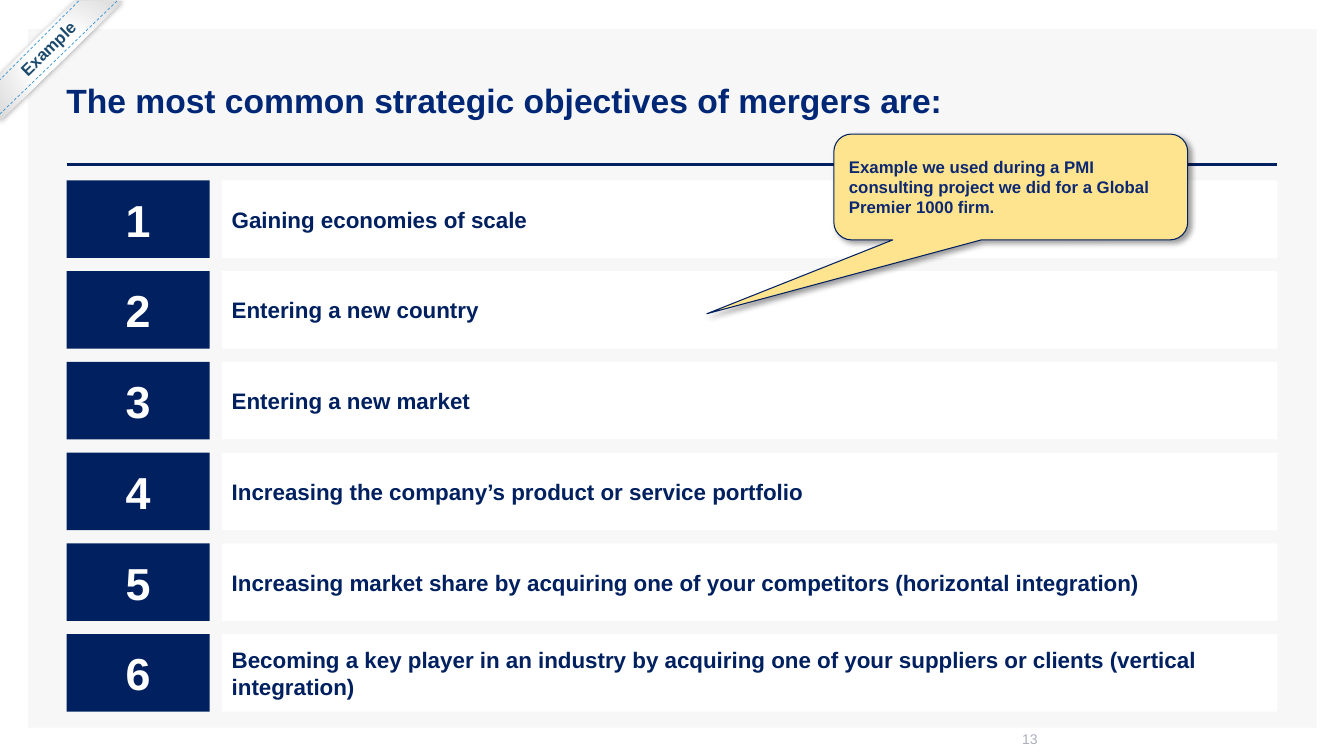
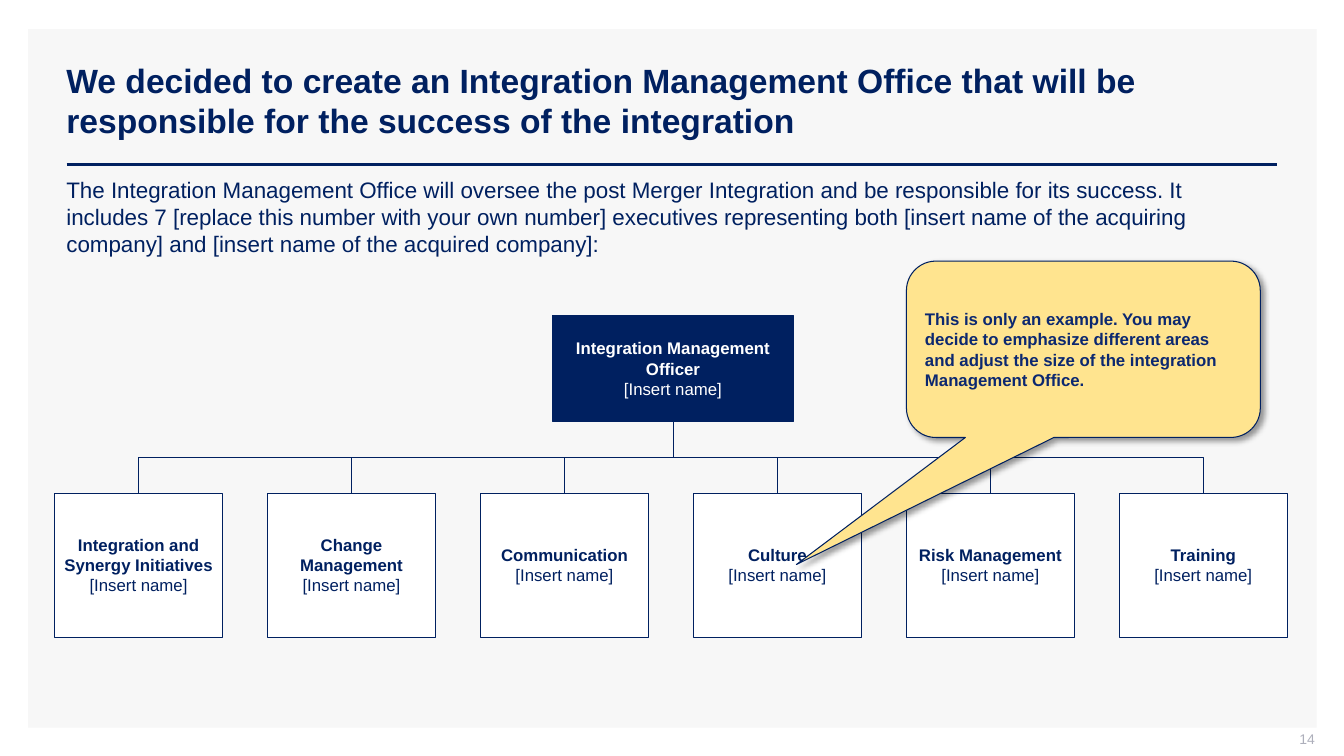
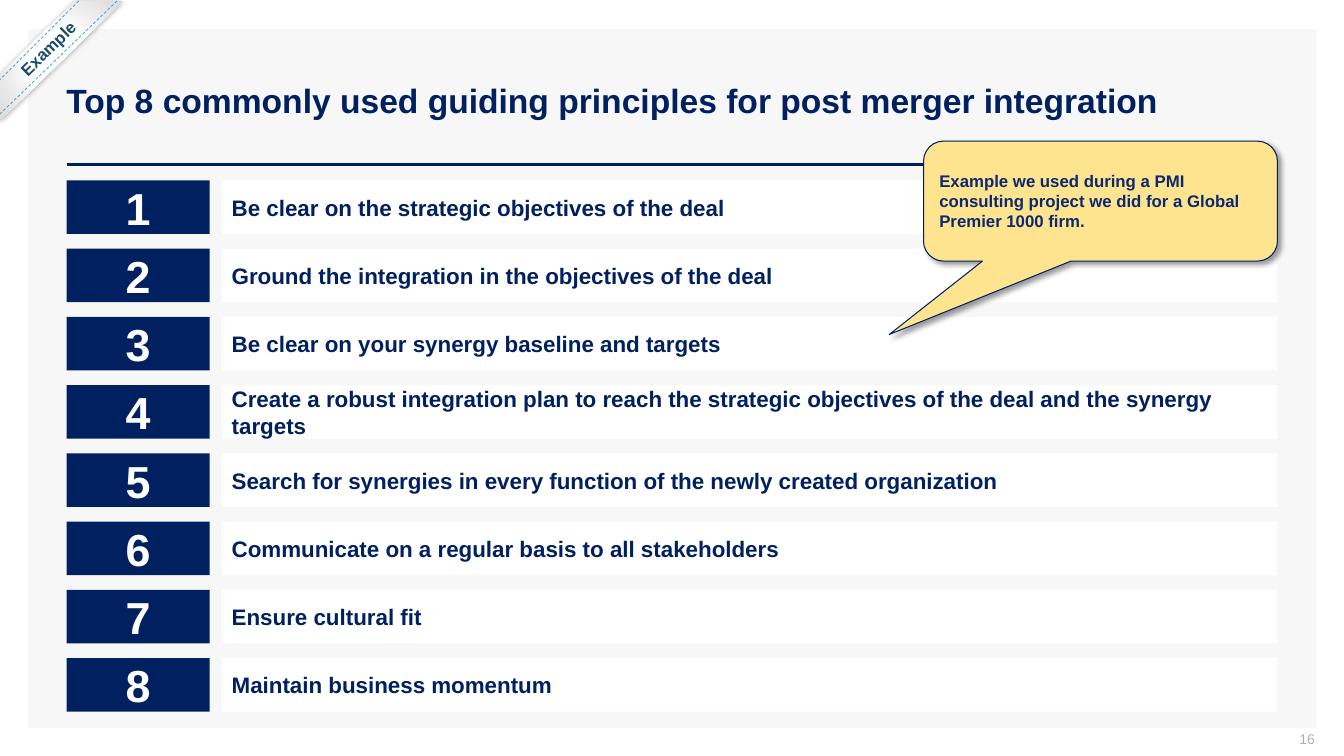
from lxml.etree import SubElement
from pptx import Presentation
from pptx.dml.color import RGBColor
from pptx.enum.dml import MSO_LINE
from pptx.enum.shapes import MSO_CONNECTOR, MSO_SHAPE
from pptx.enum.text import MSO_ANCHOR, PP_ALIGN
from pptx.oxml.ns import qn
from pptx.util import Inches, Pt

COLORS = {
    "navy": "002060", "title_blue": "002776", "note_text": "0C2870",
    "note_fill": "FFE48F", "panel": "F7F7F7", "white": "FFFFFF",
    "page_no": "ADAFBB", "ribbon_text": "1D4B6D", "ribbon_edge": "D9D9D9",
    "stitch": "3692D4", "black": "000000",
}
FONT = "Arial"
INSETS = (0.1, 0.05, 0.1, 0.05)
LEFT, CENTER, RIGHT = PP_ALIGN.LEFT, PP_ALIGN.CENTER, PP_ALIGN.RIGHT


def rgb(name):
    return RGBColor.from_string(COLORS[name])


class Deck:
    """Shared style, plus the slide being built."""

    def __init__(self):
        self.prs = Presentation()
        self.prs.slide_width, self.prs.slide_height = Inches(13.33), Inches(7.5)
        self.shapes = None

    # Basic elements
    def fill_text(self, sp, paragraphs, color, size, align=LEFT, bold=False,
                  insets=INSETS, anchor=MSO_ANCHOR.MIDDLE, wrap=True):
        """Each paragraph is a string or a (string, bold) pair."""
        tf = sp.text_frame
        tf.word_wrap, tf.vertical_anchor = wrap, anchor
        (tf.margin_left, tf.margin_top,
         tf.margin_right, tf.margin_bottom) = map(Inches, insets)
        for i, item in enumerate(paragraphs):
            text, strong = item if isinstance(item, tuple) else (item, bold)
            p = tf.add_paragraph() if i else tf.paragraphs[0]
            p.alignment = align
            r = p.add_run()
            r.text = text
            r.font.name, r.font.size, r.font.bold = FONT, Pt(size), strong
            r.font.color.rgb = rgb(color)

    def text(self, box, paragraphs, color, size, **style):
        sp = self.shapes.add_textbox(*map(Inches, box))
        self.fill_text(sp, paragraphs, color, size, **style)
        return sp

    def shape(self, box, fill, kind=MSO_SHAPE.RECTANGLE, line=None, width=0.5):
        sp = self.shapes.add_shape(kind, *map(Inches, box))
        sp.shadow.inherit = False
        sp.fill.solid()
        sp.fill.fore_color.rgb = rgb(fill)
        if line:
            sp.line.color.rgb, sp.line.width = rgb(line), Pt(width)
        else:
            sp.line.fill.background()
        return sp

    def line(self, start, end, color, width, kind=MSO_CONNECTOR.STRAIGHT):
        sp = self.shapes.add_connector(kind, *map(Inches, start + end))
        sp.line.color.rgb, sp.line.width = rgb(color), Pt(width)
        SubElement(sp._element.spPr, qn("a:effectLst"))
        return sp

    def shadow(self, sp, alpha, blur, dist, angle):
        effects = sp._element.spPr.find(qn("a:effectLst"))
        shade = SubElement(effects, qn("a:outerShdw"), blurRad=str(Pt(blur)),
                           dist=str(Pt(dist)), dir=str(angle * 60000),
                           algn="ctr", rotWithShape="0")
        clr = SubElement(shade, qn("a:srgbClr"), val=COLORS["black"])
        SubElement(clr, qn("a:alpha"), val=str(alpha * 1000))

    # Slide frame
    def slide(self, title, number, title_color="navy", number_align=RIGHT):
        s = self.prs.slides.add_slide(self.prs.slide_layouts[6])
        self.shapes = s.shapes
        self.shape((0.28, 0.29, 12.78, 6.93), "panel")
        self.line((0.66, 1.63), (12.67, 1.63), "navy", 2)
        self.text((0.56, 0.4, 12.11, 1.19), [title], title_color, 24, bold=True)
        self.text((10.04, 7.25, 3, 0.21), [str(number)], "page_no", 10,
                  align=number_align, insets=(0.1, 0, 0, 0.05))

    # Composed elements
    def numbered_rows(self, items, height, top=1.79, bottom=7.06):
        pitch = (bottom - height - top) / (len(items) - 1)
        for i, item in enumerate(items):
            y = top + i * pitch
            badge = self.shape((0.66, y, 1.42, height), "navy")
            self.fill_text(badge, [str(i + 1)], "white", 32, CENTER, bold=True)
            bar = self.shape((2.2, y, 10.47, height), "white")
            self.fill_text(bar, [item], "navy", 16, bold=True)

    def callout(self, box, tip, message):
        sp = self.shape(box, "note_fill", MSO_SHAPE.ROUNDED_RECTANGULAR_CALLOUT,
                        "navy", 0.75)
        for i, value in enumerate((*tip, 0.167)):
            sp.adjustments[i] = value
        self.shadow(sp, 40, 4, 3, 45)
        self.fill_text(sp, [message], "note_text", 12, bold=True)

    def role(self, box, name, fill, color, side):
        sp = self.shape(box, fill, line="navy")
        self.fill_text(sp, [(name, True), ("[Insert name]", False)], color, 12,
                       CENTER, insets=(side, 0.02, side, 0.02))
        return sp

    def branch(self, parent, child):
        """Elbow from the parent's bottom to the child's top, vertical first."""
        x1, y1 = parent.left + parent.width // 2, parent.top + parent.height
        x2, y2 = child.left + child.width // 2, child.top
        sp = self.line((0, 0), (1, 1), "navy", 0.5, MSO_CONNECTOR.ELBOW)
        sp.begin_connect(parent, 2)
        sp.end_connect(child, 0)
        # The elbow runs sideways by default, so it is turned a quarter
        run, drop = abs(x2 - x1), y2 - y1
        sp.left, sp.top = (x1 + x2 - drop) // 2, (y1 + y2 - run) // 2
        sp.width, sp.height = drop, run
        xfrm = sp._element.spPr.find(qn("a:xfrm"))
        rightward = x2 > x1
        xfrm.set("rot", "16200000" if rightward else "5400000")
        xfrm.set("flipH", "1" if rightward else "0")
        xfrm.set("flipV", "0")

    def ribbon(self):
        page = self.shapes
        self.shapes = page.add_group_shape().shapes
        band = self.shape((0, 0.01, 1.22, 1.19), "white", MSO_SHAPE.DIAGONAL_STRIPE)
        band.adjustments[0] = 0.611
        band.fill.gradient()
        stops = band.fill.gradient_stops
        for stop, place, color in zip(stops, (0.34, 1), ("white", "ribbon_edge")):
            stop.position, stop.color.rgb = place, rgb(color)
        grad = band._element.spPr.find(qn("a:gradFill"))
        grad.remove(grad.find(qn("a:lin")))
        radial = SubElement(grad, qn("a:path"))
        radial.set("path", "circle")
        SubElement(radial, qn("a:fillToRect"),
                   {side: "50000" for side in "ltrb"})
        self.shadow(band, 35, 4, 1, 90)
        label = self.text((0.03, 0.33, 0.89, 0.3), ["Example"], "ribbon_text", 12,
                          align=CENTER, bold=True, wrap=False)
        label.rotation = 315.8
        for x, y in ((0.78, 0.79), (1.16, 1.13)):
            stitch = self.line((x, 0.01), (0, y), "stitch", 0.5)
            stitch.line.dash_style = MSO_LINE.DASH
        self.shapes = page


PROJECT_NOTE = ("Example we used during a PMI consulting project we did "
                "for a Global Premier 1000 firm.")


def objectives(deck):
    deck.slide("The most common strategic objectives of mergers are:", 13,
               title_color="title_blue", number_align=LEFT)
    deck.numbered_rows([
        "Gaining economies of scale",
        "Entering a new country",
        "Entering a new market",
        "Increasing the company’s product or service portfolio",
        "Increasing market share by acquiring one of your competitors "
        "(horizontal integration)",
        "Becoming a key player in an industry by acquiring one of your "
        "suppliers or clients (vertical integration)",
    ], height=0.77)
    deck.callout((8.27, 1.33, 3.51, 1.05), (-0.859, 1.198), PROJECT_NOTE)
    deck.ribbon()


def management_office(deck):
    deck.slide("We decided to create an Integration Management Office that will be "
               "responsible for the success of the integration", 14)
    deck.text((0.56, 1.7, 12.11, 0.91), [
        "The Integration Management Office will oversee the post Merger Integration "
        "and be responsible for its success. It includes 7 [replace this number with "
        "your own number] executives representing both [insert name of the acquiring "
        "company] and [insert name of the acquired company]:"],
        "navy", 16, anchor=MSO_ANCHOR.TOP)
    # Organisation chart
    officer = deck.role((5.48, 3.13, 2.39, 1.05), "Integration Management Officer",
                        "navy", "white", 0.02)
    areas = ["Integration and Synergy Initiatives", "Change Management",
             "Communication", "Culture", "Risk Management", "Training"]
    first, last = 0.54, 11.1
    pitch = (last - first) / (len(areas) - 1)
    for i, area in enumerate(areas):
        box = deck.role((first + i * pitch, 4.89, 1.67, 1.43), area,
                        "white", "navy", 0.06)
        deck.branch(officer, box)
    deck.callout((8.99, 2.59, 3.51, 1.75), (-0.811, 1.22),
                 "This is only an example. You may decide to emphasize different "
                 "areas and adjust the size of the integration Management Office.")


def principles(deck):
    deck.slide("Top 8 commonly used guiding principles for post merger integration", 16)
    deck.numbered_rows([
        "Be clear on the strategic objectives of the deal",
        "Ground the integration in the objectives of the deal",
        "Be clear on your synergy baseline and targets",
        "Create a robust integration plan to reach the strategic objectives "
        "of the deal and the synergy targets",
        "Search for synergies in every function of the newly created organization",
        "Communicate on a regular basis to all stakeholders",
        "Ensure cultural fit",
        "Maintain business momentum",
    ], height=0.53)
    deck.callout((9.16, 1.4, 3.51, 1.19), (-0.597, 1.112), PROJECT_NOTE)
    deck.ribbon()


def main():
    deck = Deck()
    for build in (objectives, management_office, principles):
        build(deck)
    deck.prs.save("out.pptx")


if __name__ == "__main__":
    main()
